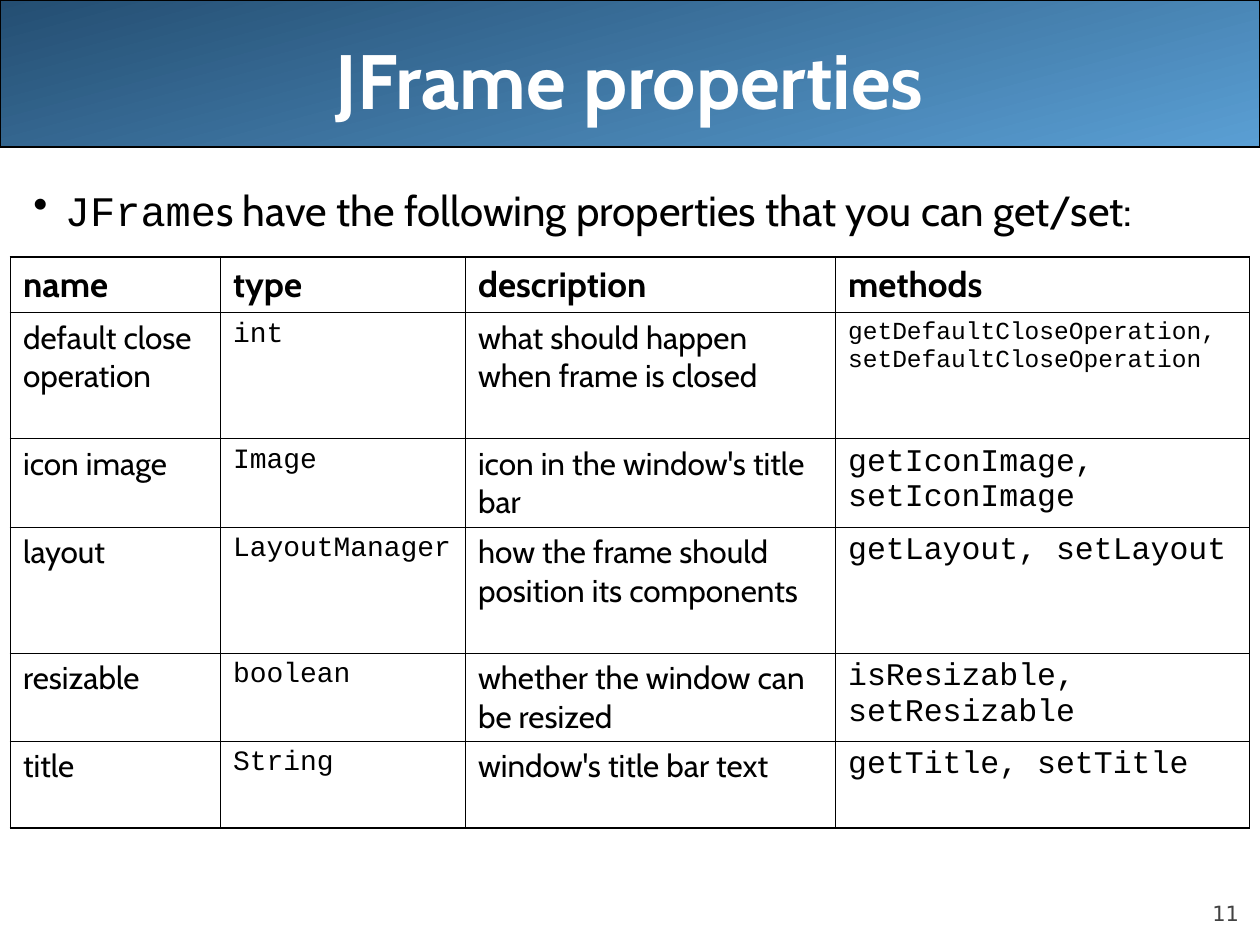
from lxml.etree import SubElement
from pptx import Presentation
from pptx.dml.color import RGBColor
from pptx.enum.shapes import MSO_SHAPE
from pptx.enum.text import MSO_ANCHOR, MSO_AUTO_SIZE, PP_ALIGN
from pptx.oxml import parse_xml
from pptx.oxml.ns import nsdecls, qn
from pptx.util import Pt

COLORS = {
    "banner dark": "244E72",
    "banner light": "5A9FD4",
    "title": "FFFFFF",
    "text": "000000",
    "line": "000000",
    "page": "424242",
}
SANS, MONO, PAGE_FONT = "Cabin", "Courier New", "DejaVu Sans"
INNER_LINE, OUTER_LINE = 0.45, 1.08

COLUMN_WIDTHS = [120, 140, 211.5, 236.5]
ROW_HEIGHTS = [31.7, 72, 50.4, 72, 50.4, 49.7]
COLUMN_FORMATS = [
    {"name": SANS, "size": 18},
    {"name": MONO, "size": 16},
    {"name": SANS, "size": 18},
    {"name": MONO, "size": 18},
]
HEADER_FORMAT = {"name": SANS, "size": 20, "bold": True}
LONG_METHODS_FORMAT = {"name": MONO, "size": 14}
PROPERTIES = [
    ["name", "type", "description", "methods"],
    ["default close operation", "int", "what should happen when frame is closed",
     "getDefaultCloseOperation, setDefaultCloseOperation"],
    ["icon image", "Image", "icon in the window's title bar",
     "getIconImage, setIconImage"],
    ["layout", "LayoutManager", "how the frame should position its components",
     "getLayout, setLayout"],
    ["resizable", "boolean", "whether the window can be resized",
     "isResizable, setResizable"],
    ["title", "String", "window's title bar text", "getTitle, setTitle"],
]


def rgb(key):
    return RGBColor.from_string(COLORS[key])


def add_run(paragraph, text, size, color="text", **font_format):
    run = paragraph.add_run()
    run.text = text
    run.font.size = Pt(size)
    run.font.color.rgb = rgb(color)
    for attribute, value in font_format.items():
        setattr(run.font, attribute, value)


def add_text_area(slide, left, top, width, height, **frame_format):
    area = slide.shapes.add_textbox(Pt(left), Pt(top), Pt(width), Pt(height))
    frame = area.text_frame
    for attribute, value in {"word_wrap": True, **frame_format}.items():
        setattr(frame, attribute, value)
    return frame.paragraphs[0]


def add_title(slide, text):
    title = slide.shapes.title
    place = {"left": 36, "top": 0, "width": 648, "height": 90}
    for attribute, value in place.items():
        setattr(title, attribute, Pt(value))
    frame = title.text_frame
    frame.auto_size = MSO_AUTO_SIZE.NONE
    frame.vertical_anchor = MSO_ANCHOR.MIDDLE
    heading = frame.paragraphs[0]
    heading.alignment = PP_ALIGN.CENTER
    add_run(heading, text, 44, "title", name=SANS, bold=True)


def add_banner(slide):
    banner = slide.shapes.add_shape(
        MSO_SHAPE.ROUNDED_RECTANGLE, Pt(0), Pt(0), Pt(720), Pt(84))
    banner.adjustments[0] = 0
    banner.shadow.inherit = False
    banner.fill.gradient()
    banner.fill.gradient_angle = 285
    for stop, key in zip(banner.fill.gradient_stops, ["banner dark", "banner light"]):
        stop.color.rgb = rgb(key)
    banner.line.color.rgb = rgb("line")
    banner.line.width = Pt(0.75)
    # The banner lies behind the title
    slide.shapes.title.element.addprevious(banner.element)


def add_bullet(slide):
    bullet = add_text_area(slide, 12, 102, 708, 408)
    bullet.space_before = Pt(6)
    properties = bullet._p.get_or_add_pPr()
    properties.set("marL", str(Pt(18)))
    properties.set("indent", str(Pt(-18)))
    SubElement(properties, qn("a:buChar"), char="•")
    add_run(bullet, "JFrame", 24, name=MONO)
    add_run(bullet, "s have the following properties that you can get/set:", 24, name=SANS)


def set_borders(cell, row, column):
    outer_sides = {
        "L": column == 0,
        "R": column == len(COLUMN_WIDTHS) - 1,
        "T": row == 0,
        "B": row == len(ROW_HEIGHTS) - 1,
    }
    cell_properties = cell._tc.get_or_add_tcPr()
    for side, is_outer in outer_sides.items():
        width = Pt(OUTER_LINE if is_outer else INNER_LINE)
        cell_properties.append(parse_xml(
            f'<a:ln{side} {nsdecls("a")} w="{width}"><a:solidFill>'
            f'<a:srgbClr val="{COLORS["line"]}"/></a:solidFill></a:ln{side}>'))


def cell_format(row, column):
    if row == 0:
        return HEADER_FORMAT
    if row == 1 and column == 3:
        return LONG_METHODS_FORMAT
    return COLUMN_FORMATS[column]


def add_properties_table(slide):
    table = slide.shapes.add_table(
        len(ROW_HEIGHTS), len(COLUMN_WIDTHS), Pt(6), Pt(147),
        Pt(sum(COLUMN_WIDTHS)), Pt(sum(ROW_HEIGHTS))).table
    table.first_row = table.horz_banding = False
    for column, width in zip(table.columns, COLUMN_WIDTHS):
        column.width = Pt(width)
    for row, height in zip(table.rows, ROW_HEIGHTS):
        row.height = Pt(height)
    for row, texts in enumerate(PROPERTIES):
        for column, text in enumerate(texts):
            cell = table.cell(row, column)
            set_borders(cell, row, column)
            cell.fill.background()
            font_format = cell_format(row, column)
            entry = cell.text_frame.paragraphs[0]
            entry.space_before = Pt(font_format["size"] / 4)
            add_run(entry, text, **font_format)


def add_page_number(slide, number):
    no_margins = dict.fromkeys(
        ["margin_left", "margin_right", "margin_top", "margin_bottom"], 0)
    page = add_text_area(slide, 648, 500.4, 60, 28.8,
                         vertical_anchor=MSO_ANCHOR.BOTTOM, **no_margins)
    page.alignment = PP_ALIGN.RIGHT
    page.space_before = Pt(5)
    add_run(page, number, 12, "page", name=PAGE_FONT)


def main():
    presentation = Presentation()
    presentation.slide_width, presentation.slide_height = Pt(720), Pt(540)
    slide = presentation.slides.add_slide(presentation.slide_layouts[5])
    add_title(slide, "JFrame properties")
    add_banner(slide)
    add_bullet(slide)
    add_properties_table(slide)
    add_page_number(slide, "11")
    presentation.save("out.pptx")


if __name__ == "__main__":
    main()
